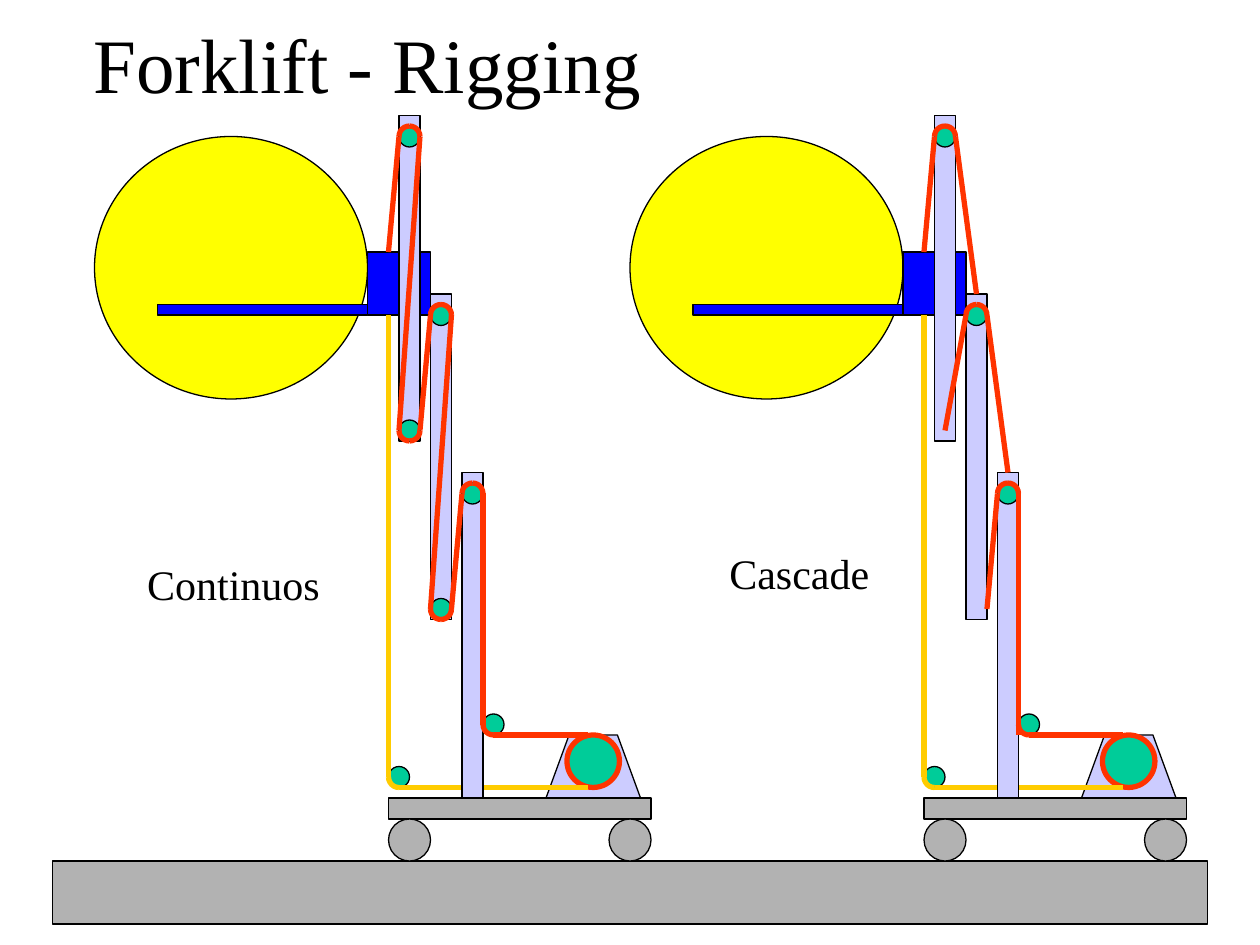
from pptx import Presentation, util as u
from pptx.dml.color import RGBColor
from pptx.enum import shapes, text
from lxml import etree

# ---- Content: lengths are grid units of 1/12 inch (slide is 120 x 90) ----
COLORS = {"ink": "000000", "steel": "B2B2B2", "mast": "CCCCFF", "pulley": "00CC99",
          "load": "FFFF00", "fork": "0000FF", "lift": "FF3300", "lower": "FFCC00"}
FONT = "Times New Roman"
TITLE = "Forklift - Rigging"
TRUCK_STEP = 51
MAST_X, MAST_Y, MAST_DX, MAST_DY = 38, 11, 3, 17
MAST_SIZE = (2, 31)
SHEAVE = 2

# Quarter arcs by start angle, clockwise from the right
TOP_ARCS, BOTTOM_ARCS, CORNER_ARC = (270, 180), (0, 90), (90,)

TRUCKS = [
    {"label": "Continuos", "label_box": (12.84, 52.6, 18.84, 6), "bottom_sheaves": (1, 0),
     "cables": [((38, 13), (37, 24)), ((40, 13), (38, 41)), ((41, 30), (40, 41)),
                ((43, 30), (41, 58)), ((44, 47), (43, 58)), ((46, 47), (46, 69))]},
    {"label": "Cascade", "label_box": (68.28, 51.6, 15.72, 6), "bottom_sheaves": (),
     "cables": [((38, 13), (37, 24)), ((40, 13), (42, 28)), ((41, 30), (39, 41)),
                ((43, 30), (45, 45)), ((44, 47), (43, 58)), ((46, 47), (46, 70))]},
]
WINCH_BASE = [(52, 76), (61, 76), (58.8, 70), (54.2, 70)]
WINCH_DRUM = (54, 70, 5, 5)
CHASSIS = [("RECTANGLE", (37, 76, 25, 2), "steel"),
           ("OVAL", (37, 78, 4, 4), "steel"),
           ("OVAL", (58, 78, 4, 4), "steel"),
           ("OVAL", WINCH_DRUM, "pulley"),
           ("OVAL", (37, 73, SHEAVE, SHEAVE), "pulley"),
           ("OVAL", (46, 68, SHEAVE, SHEAVE), "pulley")]
LOAD = [("OVAL", (9, 13, 26, 25), "load"),
        ("RECTANGLE", (35, 24, 6, 6), "fork"),
        ("RECTANGLE", (15, 29, 20, 1), "fork")]


def grid(value):
    return u.Emu(round(value * u.Inches(1) / 12))


def rgb(name):
    return RGBColor.from_string(COLORS[name])


def style(shape, fill, line="ink", width=0.75):
    shape.shadow.inherit = False
    if fill:
        shape.fill.solid()
        shape.fill.fore_color.rgb = rgb(fill)
    else:
        shape.fill.background()
    shape.line.color.rgb = rgb(line)
    shape.line.width = u.Pt(width)
    return shape


def add_part(parent, kind, box, fill, dx=0, **line):
    left, top, width, height = box
    shape = parent.add_shape(getattr(shapes.MSO_SHAPE, kind), grid(left + dx), grid(top),
                             grid(width), grid(height))
    return style(shape, fill, **line)


def add_cable(parent, start, end, color, dx):
    cable = parent.add_connector(shapes.MSO_CONNECTOR.STRAIGHT, grid(start[0] + dx),
                                 grid(start[1]), grid(end[0] + dx), grid(end[1]))
    cable.line.color.rgb = rgb(color)
    cable.line.width = u.Pt(3)
    properties = cable.line._get_or_add_ln().getparent()
    namespace = properties.nsmap["a"]
    etree.SubElement(properties, f"{{{namespace}}}effectLst")


def add_arcs(parent, left, top, starts, color, dx):
    for start in starts:
        arc = add_part(parent, "ARC", (left, top, SHEAVE, SHEAVE), "pulley", dx,
                       line=color, width=3)
        # Adjustments count 60000ths of a degree, divided by 100000
        arc.adjustments[0] = start * 0.6
        arc.adjustments[1] = (start + 90) % 360 * 0.6


def write(box, words, size, align=text.PP_ALIGN.LEFT, anchor=text.MSO_ANCHOR.TOP, wrap=False):
    frame = box.text_frame
    frame.word_wrap = wrap
    frame.vertical_anchor = anchor
    para = frame.paragraphs[0]
    para.alignment = align
    span = para.add_run()
    span.text = words
    span.font.name = FONT
    span.font.size = u.Pt(size)
    span.font.color.rgb = rgb("ink")


def add_mast(parent, index, dx):
    corner = (MAST_X + index * MAST_DX, MAST_Y + index * MAST_DY)
    add_part(parent, "RECTANGLE", corner + MAST_SIZE, "mast", dx)


def add_sheave(parent, index, offset, arcs, dx):
    left, top = MAST_X + index * MAST_DX, MAST_Y + index * MAST_DY + offset
    add_part(parent, "OVAL", (left, top, SHEAVE, SHEAVE), "pulley", dx)
    add_arcs(parent, left, top, arcs, "lift", dx)


def add_truck(page, truck, dx):
    parts = page.shapes.add_group_shape().shapes

    # Winch and chassis
    points = [(grid(x + dx), grid(y)) for x, y in WINCH_BASE]
    outline = parts.build_freeform(*points[0])
    outline.add_line_segments(points[1:], close=True)
    style(outline.convert_to_shape(), "mast")
    for kind, box, fill in CHASSIS:
        add_part(parts, kind, box, fill, dx)
    add_part(parts, "OVAL", WINCH_DRUM, None, dx, line="lift", width=3)
    add_cable(parts, (47, 70), (56, 70), "lift", dx)
    add_cable(parts, (38, 75), (56, 75), "lower", dx)

    # Middle mast behind the load, the others in front
    add_mast(parts, 1, dx)
    for kind, box, fill in LOAD:
        add_part(parts, kind, box, fill, dx)
    add_mast(parts, 0, dx)
    add_mast(parts, 2, dx)

    # Corner turns, lowering cable, sheaves and lifting cable
    add_arcs(parts, 46, 68, CORNER_ARC, "lift", dx)
    add_arcs(parts, 37, 73, CORNER_ARC, "lower", dx)
    add_cable(parts, (37, 74), (37, 30), "lower", dx)
    for index in (2, 1, 0):
        add_sheave(parts, index, 1, TOP_ARCS, dx)
    for index in truck["bottom_sheaves"]:
        add_sheave(parts, index, MAST_SIZE[1] - SHEAVE, BOTTOM_ARCS, dx)
    for start, end in truck["cables"]:
        add_cable(parts, start, end, "lift", dx)


def main():
    deck = Presentation()
    deck.slide_width, deck.slide_height = grid(120), grid(90)
    page = deck.slides.add_slide(deck.slide_layouts[5])

    title = page.shapes.title
    title.left, title.top, title.width, title.height = map(grid, (3, 2, 64, 8))
    write(title, TITLE, 44, align=text.PP_ALIGN.CENTER, anchor=text.MSO_ANCHOR.MIDDLE, wrap=True)

    # Ground, trucks, labels
    add_part(page.shapes, "RECTANGLE", (5, 82, 110, 6), "steel")
    for index, truck in enumerate(TRUCKS):
        add_truck(page, truck, index * TRUCK_STEP)
    for truck in TRUCKS:
        write(page.shapes.add_textbox(*map(grid, truck["label_box"])), truck["label"], 24)
    deck.save("out.pptx")


if __name__ == "__main__":
    main()
